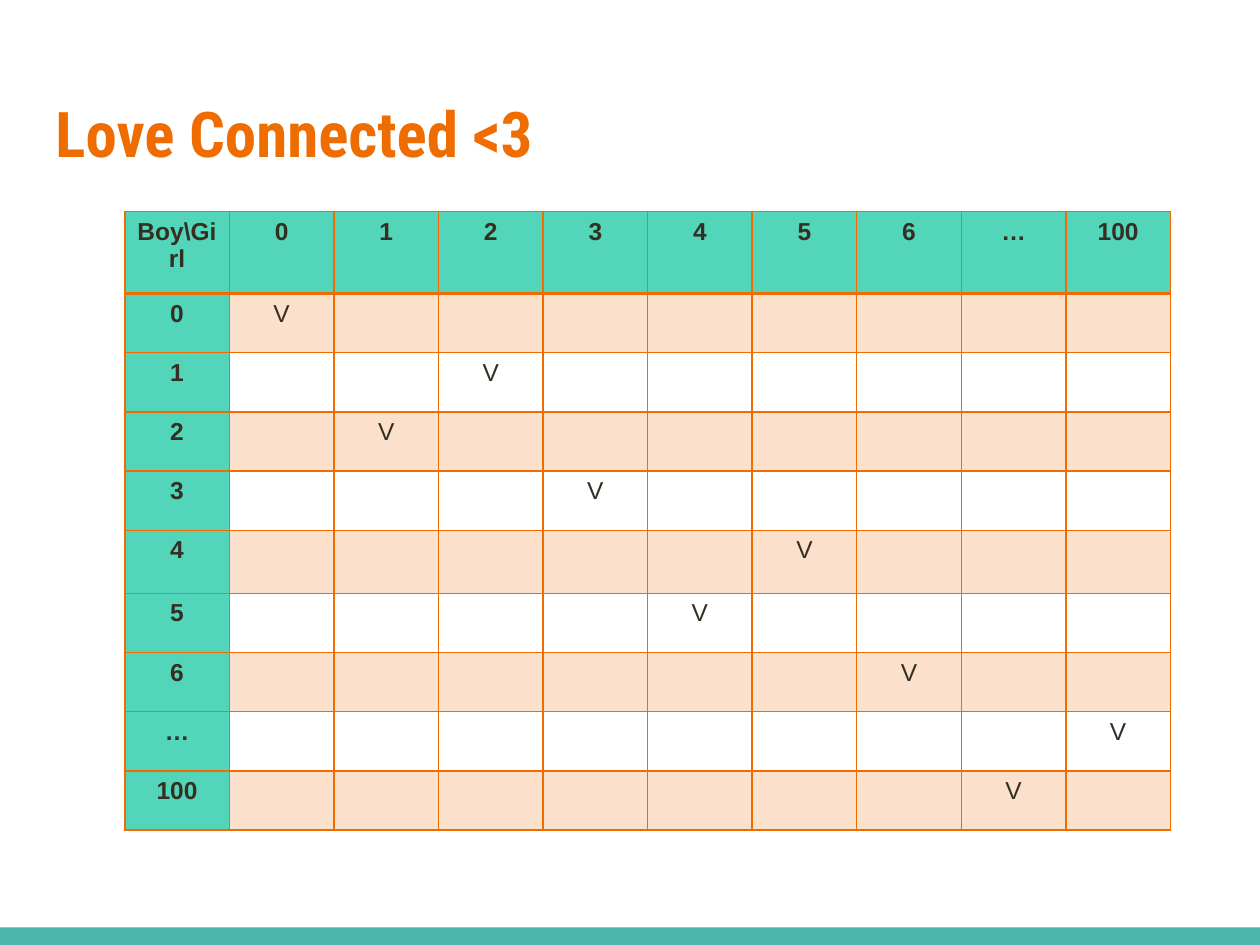
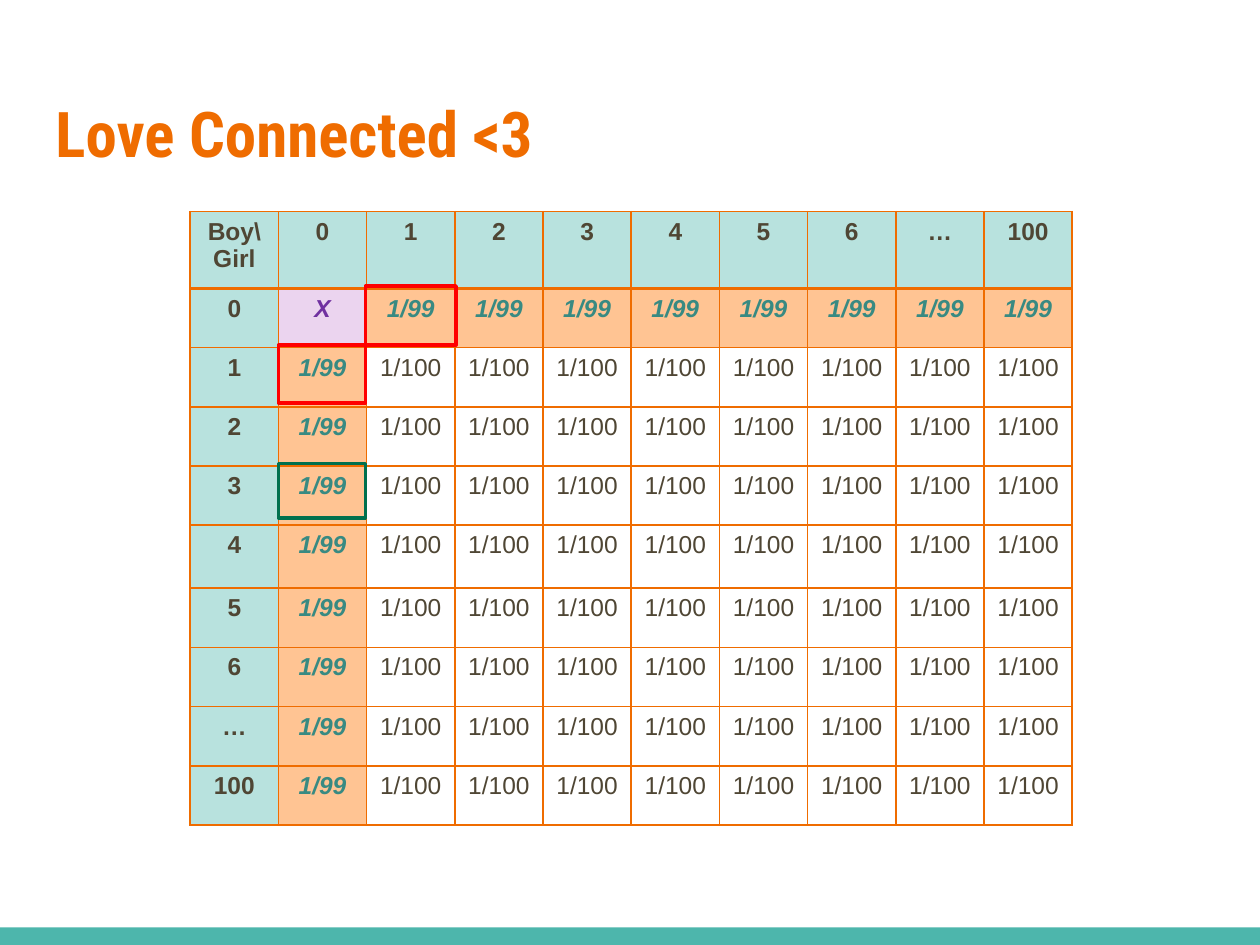
from lxml import etree
from pptx import Presentation
from pptx.dml.color import RGBColor
from pptx.enum import shapes, text
from pptx.oxml import ns
from pptx.util import Inches, Pt

ORANGE = RGBColor(0xEF, 0x6C, 0x00)
TEAL = RGBColor(0x4D, 0xB6, 0xAC)
MINT = RGBColor(0x52, 0xD5, 0xB9)
PALE = RGBColor(0xB8, 0xE2, 0xDE)
PEACH = RGBColor(0xFF, 0xC4, 0x93)
LILAC = RGBColor(0xEB, 0xD4, 0xEF)
PURPLE = RGBColor(0x70, 0x30, 0xA0)
DEEP = RGBColor(0x38, 0x8A, 0x82)
DARK = RGBColor(0x34, 0x2E, 0x23)
BROWN = RGBColor(0x4F, 0x46, 0x34)
WHITE = RGBColor(0xFF, 0xFF, 0xFF)
RED = RGBColor(0xFF, 0x00, 0x00)
GREEN = RGBColor(0x00, 0x70, 0x4E)

LABELS = ["0", "1", "2", "3", "4", "5", "6", "…", "100"]
MATCHES = [0, 2, 1, 3, 5, 4, 6, 8, 7]
TOP = 1.68


def add_run(para, words, font, size, color, bold=True, italic=False):
    run = para.add_run()
    run.text = words
    run.font.name = font
    run.font.size = Pt(size)
    run.font.color.rgb = color
    run.font.bold = bold
    run.font.italic = italic


def add_box(slide, left, top, width, height):
    box = slide.shapes.add_shape(
        shapes.MSO_SHAPE.RECTANGLE,
        Inches(left), Inches(top), Inches(width), Inches(height))
    box.shadow.inherit = False
    return box


def add_frame(slide, color, left, top, width, height):
    frame = add_box(slide, left, top, width, height)
    frame.fill.background()
    frame.line.color.rgb = color
    frame.line.width = Pt(2)


def add_page(prs):
    slide = prs.slides.add_slide(prs.slide_layouts[5])
    band = add_box(slide, 0, 7.36, 10, 0.14)
    band.fill.solid()
    band.fill.fore_color.rgb = TEAL
    band.line.fill.background()
    title = slide.shapes.title
    title.left, title.top = Inches(0.34), Inches(0.65)
    title.width, title.height = Inches(9.32), Inches(1.03)
    frame = title.text_frame
    frame.word_wrap = True
    frame.auto_size = text.MSO_AUTO_SIZE.NONE
    frame.vertical_anchor = text.MSO_ANCHOR.TOP
    frame.margin_left = frame.margin_right = Inches(0.1)
    frame.margin_top = frame.margin_bottom = Inches(0.1)
    para = frame.paragraphs[0]
    para.alignment = text.PP_ALIGN.LEFT
    add_run(para, "Love Connected <3", "Roboto Condensed", 36, ORANGE)
    return slide


def add_fill(cell, color, alpha=None):
    if color is None:
        cell.fill.background()
        return
    cell.fill.solid()
    cell.fill.fore_color.rgb = color
    if alpha:
        clr = cell._tc.tcPr.find(".//" + ns.qn("a:srgbClr"))
        etree.SubElement(clr, ns.qn("a:alpha"), val=str(alpha * 1000))


def add_edges(cell, base):
    props = cell._tc.get_or_add_tcPr()
    for spot, side in enumerate("LRTB"):
        width = base if side == "B" else 1
        line = etree.Element(ns.qn("a:ln" + side), w=str(Pt(width)))
        fill = etree.SubElement(line, ns.qn("a:solidFill"))
        etree.SubElement(fill, ns.qn("a:srgbClr"), val=str(ORANGE))
        props.insert(spot, line)


def add_grid(slide, left, wide, head, tint, ink, style):
    count = len(LABELS) + 1
    heights = [head] + [0.47] * len(LABELS)
    heights[5] = 0.5
    grid = slide.shapes.add_table(
        count, count, Inches(left), Inches(TOP),
        Inches(wide * count), Inches(sum(heights))).table
    names = ["Boy\\Girl"] + LABELS
    for col in grid.columns:
        col.width = Inches(wide)
    for row, high in enumerate(heights):
        grid.rows[row].height = Inches(high)
        for col in range(count):
            if row == 0 or col == 0:
                words, fill, alpha = names[row + col], tint, None
                look = (ink, True, False)
            else:
                words, fill, alpha, look = style(row - 1, col - 1)
            cell = grid.cell(row, col)
            add_fill(cell, fill, alpha)
            add_edges(cell, 2 if row == 0 else 1)
            para = cell.text_frame.paragraphs[0]
            para.alignment = text.PP_ALIGN.CENTER
            if words:
                add_run(para, words, "Arial", 14, *look)


def match_style(boy, girl):
    words = "V" if MATCHES[boy] == girl else ""
    fill, alpha = (ORANGE, 20) if boy % 2 == 0 else (None, None)
    return words, fill, alpha, (DARK, False, False)


def odds_style(boy, girl):
    if boy == girl == 0:
        return "X", LILAC, None, (PURPLE, True, True)
    if boy == 0 or girl == 0:
        return "1/99", PEACH, None, (DEEP, True, True)
    return "1/100", WHITE, None, (BROWN, False, False)


def main():
    prs = Presentation()
    prs.slide_width, prs.slide_height = Inches(10), Inches(7.5)

    add_grid(add_page(prs), 0.99, 0.83, 0.65, MINT, DARK, match_style)

    odds = add_page(prs)
    add_grid(odds, 1.51, 0.7, 0.61, PALE, BROWN, odds_style)
    add_frame(odds, GREEN, 2.21, 3.68, 0.69, 0.43)
    add_frame(odds, RED, 2.21, 2.74, 0.69, 0.46)
    add_frame(odds, RED, 2.9, 2.27, 0.72, 0.47)

    prs.save("out.pptx")


if __name__ == "__main__":
    main()
